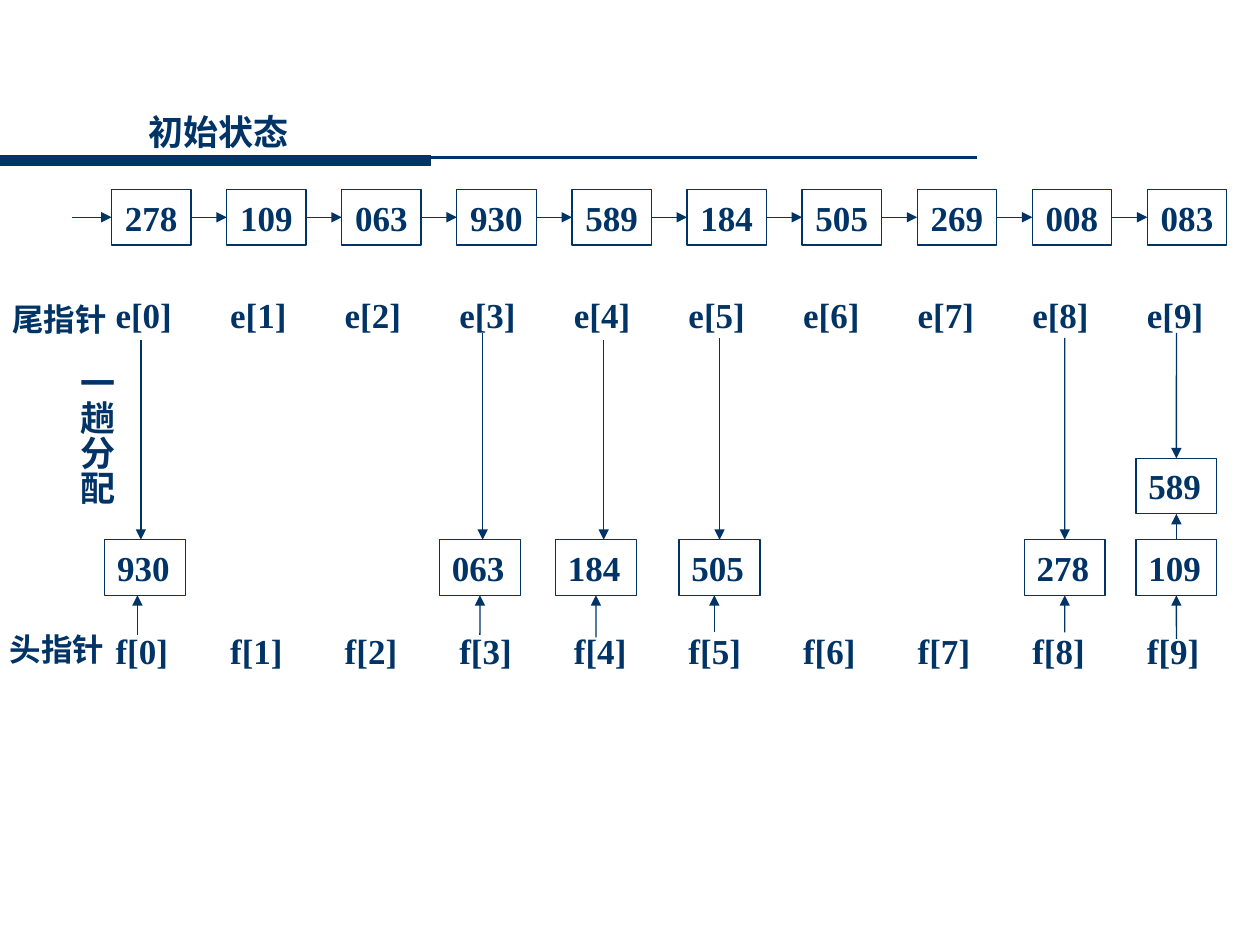
from dataclasses import dataclass
from typing import Optional

from lxml import etree
from pptx import Presentation, util as u
from pptx.dml.color import RGBColor
from pptx.enum import shapes, text
from pptx.oxml.ns import qn

INK = {"navy": "003366"}
FONT = "Times New Roman"
NAVY = RGBColor.from_string(INK["navy"])
TOP, LEFT, BOTTOM, RIGHT = range(4)

KEYS = ["278", "109", "063", "930", "589", "184", "505", "269", "008", "083"]
KEY_X, KEY_Y, KEY_GAP = 2.25, 3.82, 2.32
PTR_X, PTR_GAP = 2.08, 2.31
TAIL_Y, HEAD_Y = 5.79, 12.57
BOX_W, BOX_H = 1.63, 1.12
BOX_Y, STEP = 10.88, 1.64


@dataclass
class Bucket:
    """Keys stacked upward; an arrow without its own x is joined to the box."""
    x: float
    keys: list[str]
    tail: float
    head: float
    tail_x: Optional[float] = None
    head_x: Optional[float] = None


BUCKETS = [
    Bucket(2.11, ["930"], 6.86, 12.8, tail_x=2.84, head_x=2.77),
    Bucket(8.86, ["063"], 6.71, 12.8, tail_x=9.73),
    Bucket(11.2, ["184"], 6.86, 12.85, tail_x=12.17),
    Bucket(13.69, ["505"], 6.81, 12.75, head_x=14.4),
    Bucket(20.65, ["278"], 6.81, 12.75),
    Bucket(22.9, ["109", "589"], 6.71, 12.88),
]

prs = Presentation()
prs.slide_width, prs.slide_height = u.Cm(25.4), u.Cm(19.05)
slide = prs.slides.add_slide(prs.slide_layouts[6])


def write(shape, words: str, *, size: float = 20, wrap: bool = False,
          align=text.PP_ALIGN.LEFT, anchor=text.MSO_ANCHOR.TOP,
          pad: tuple[float, float] = (0.25, 0.13), upright: bool = False) -> None:
    frame = shape.text_frame
    frame.word_wrap = wrap
    frame.vertical_anchor = anchor
    frame.margin_left = frame.margin_right = u.Cm(pad[0])
    frame.margin_top = frame.margin_bottom = u.Cm(pad[1])
    if upright:
        frame._txBody.bodyPr.set("vert", "eaVert")
    para = frame.paragraphs[0]
    para.alignment = align
    run = para.add_run()
    run.text = words
    run.font.name, run.font.size, run.font.bold = FONT, u.Pt(size), True
    run.font.color.rgb = NAVY


def label(x: float, y: float, w: float, h: float, words: str, **style) -> None:
    area = slide.shapes.add_textbox(u.Cm(x), u.Cm(y), u.Cm(w), u.Cm(h))
    write(area, words, **style)


def box(x: float, y: float, w: float, words: str, **style):
    rect = slide.shapes.add_shape(
        shapes.MSO_SHAPE.RECTANGLE, u.Cm(x), u.Cm(y), u.Cm(w), u.Cm(BOX_H))
    rect.shadow.inherit = False
    rect.fill.background()
    rect.line.color.rgb, rect.line.width = NAVY, u.Pt(0.75)
    write(rect, words, **style)
    return rect


def line(x1: float, y1: float, x2: float, y2: float, *, width: float = 0.75,
         arrow: bool = True, start=None, end=None) -> None:
    """Draw a line; start and end are optional (rectangle, side) joints."""
    link = slide.shapes.add_connector(
        shapes.MSO_CONNECTOR.STRAIGHT, u.Cm(x1), u.Cm(y1), u.Cm(x2), u.Cm(y2))
    link.line.color.rgb, link.line.width = NAVY, u.Pt(width)
    if arrow:
        etree.SubElement(link.line._get_or_add_ln(), qn("a:tailEnd"), type="triangle")
    etree.SubElement(link._element.spPr, qn("a:effectLst"))
    if start:
        link.begin_connect(*start)
    if end:
        link.end_connect(*end)


def chain() -> None:
    mid, last = KEY_Y + BOX_H / 2, None
    for i, key in enumerate(KEYS):
        x = KEY_X + i * KEY_GAP
        rect = box(x, KEY_Y, 1.6, key, align=text.PP_ALIGN.CENTER,
                   anchor=text.MSO_ANCHOR.MIDDLE)
        line(x - 0.8, mid, x, mid, start=last and (last, RIGHT), end=(rect, LEFT))
        last = rect


def stack(b: Bucket) -> None:
    mid = b.x + BOX_W / 2
    tops = [BOX_Y - i * STEP for i in range(len(b.keys))]
    rects = [box(b.x, y, BOX_W, key, wrap=True) for y, key in zip(tops, b.keys)]
    for low, high, y in zip(rects, rects[1:], tops):
        line(mid, y, mid, y - STEP + BOX_H, start=(low, TOP), end=(high, BOTTOM))
    ends = [(b.tail_x, b.tail, tops[-1], rects[-1], TOP),
            (b.head_x, b.head, BOX_Y + BOX_H, rects[0], BOTTOM)]
    for own, y1, y2, rect, side in ends:
        x = own or mid
        line(x, y1, x, y2, end=None if own else (rect, side))


line(19.69, 3.18, 0, 3.18, width=1.5, arrow=False)
line(0, 3.24, 8.69, 3.24, width=6, arrow=False)
label(2.74, 2.1, 3.33, 1.12, "初始状态")
chain()
for i in range(len(KEYS)):
    x = PTR_X + i * PTR_GAP
    label(x, TAIL_Y, 1.65, 1.12, f"e[{i}]")
    label(x, HEAD_Y, 1.65, 1.12, f"f[{i}]")
label(1.15, 7.12, 1.35, 3.1, "一趟分配", pad=(0.13, 0.25), upright=True)
label(0.25, 5.92, 2.11, 1.02, "尾指针", size=18, wrap=True, pad=(0, 0.13))
label(0.2, HEAD_Y, 2.11, 1.02, "头指针", size=18, wrap=True, pad=(0, 0.13))
for bucket in BUCKETS:
    stack(bucket)

prs.save("out.pptx")
